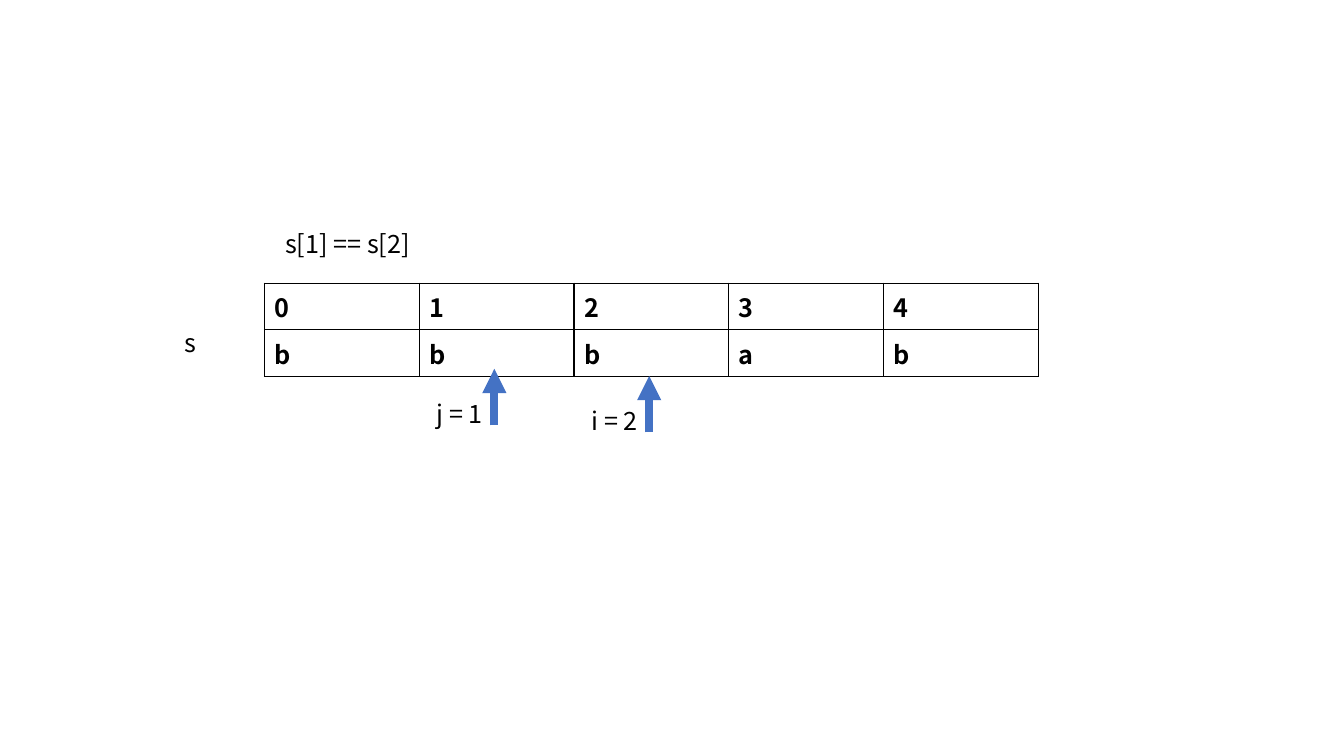
from lxml import etree
from pptx import Presentation
from pptx.dml.color import RGBColor
from pptx.enum.shapes import MSO_CONNECTOR
from pptx.enum.text import MSO_ANCHOR, MSO_AUTO_SIZE
from pptx.oxml.ns import qn
from pptx.util import Pt

STRAIGHT = MSO_CONNECTOR.STRAIGHT
MIDDLE = MSO_ANCHOR.MIDDLE
FIT_SHAPE = MSO_AUTO_SIZE.SHAPE_TO_FIT_TEXT
FONT = "Noto Sans CJK SC"
BLACK, WHITE, BLUE = "000000", "FFFFFF", "4472C4"
TABLE_LEFT, TABLE_TOP = 188.9, 202.3
COLUMN_WIDTH, ROW_HEIGHT = 110.6, 28.8
LABEL_HEIGHT = 28.8


def color(value):
    """Turn a hex string into a colour."""
    return RGBColor.from_string(value)


def write(frame, text, bold=False):
    """Put one formatted paragraph into a text frame."""
    para = frame.paragraphs[0]
    para.text = text
    para.font.name = FONT
    para.font.size = Pt(18)
    para.font.bold = bold
    para.font.color.rgb = color(BLACK)


def add_label(page, text, left, top, width, wrap=False):
    """Add a plain text label."""
    box = page.shapes.add_textbox(Pt(left), Pt(top), Pt(width), Pt(LABEL_HEIGHT))
    box.text_frame.word_wrap = wrap
    box.text_frame.auto_size = FIT_SHAPE
    write(box.text_frame, text)


def add_borders(cell):
    """Draw a thin black line on all four sides of a cell."""
    properties = cell._tc.get_or_add_tcPr()
    for position, side in enumerate(("lnL", "lnR", "lnT", "lnB")):
        line = etree.Element(qn(f"a:{side}"), w=str(Pt(1)))
        fill = etree.SubElement(line, qn("a:solidFill"))
        etree.SubElement(fill, qn("a:srgbClr"), val=BLACK)
        properties.insert(position, line)


def add_string_table(page, letters):
    """Add a table with the indexes above the letters of the string."""
    rows = [[str(index) for index in range(len(letters))], list(letters)]
    table = page.shapes.add_table(
        len(rows), len(letters), Pt(TABLE_LEFT), Pt(TABLE_TOP),
        Pt(COLUMN_WIDTH * len(letters)), Pt(ROW_HEIGHT * len(rows))).table
    for column in table.columns:
        column.width = Pt(COLUMN_WIDTH)
    for row_index, row in enumerate(rows):
        for column_index, text in enumerate(row):
            cell = table.cell(row_index, column_index)
            cell.vertical_anchor = MIDDLE
            cell.fill.solid()
            cell.fill.fore_color.rgb = color(WHITE)
            add_borders(cell)
            write(cell.text_frame, text, bold=True)


def add_pointer(page, name, index, tip):
    """Add an upward arrow below a table column, with its label."""
    center = TABLE_LEFT + COLUMN_WIDTH * index + 53.6
    arrow = page.shapes.add_connector(
        STRAIGHT, Pt(center), Pt(tip + 40.3), Pt(center), Pt(tip))
    arrow.line.color.rgb = color(BLUE)
    arrow.line.width = Pt(5.75)
    etree.SubElement(arrow.line._get_or_add_ln(), qn("a:tailEnd"), type="triangle")
    etree.SubElement(arrow._element.spPr, qn("a:effectLst"))
    add_label(page, f"{name} = {index}", center - 48.2, tip + 17.3, 50.4)


def main():
    """Build the slide and save the deck."""
    deck = Presentation()
    deck.slide_width, deck.slide_height = Pt(960), Pt(540)
    page = deck.slides.add_slide(deck.slide_layouts[6])
    add_string_table(page, "bbbab")
    add_label(page, "s", 124.6, 230.4, 39.6, wrap=True)
    add_pointer(page, "i", 2, 268.6)
    add_label(page, "s[1] == s[2]", 196.6, 159.8, 103.7)
    add_pointer(page, "j", 1, 263.5)
    deck.save("out.pptx")


main()
